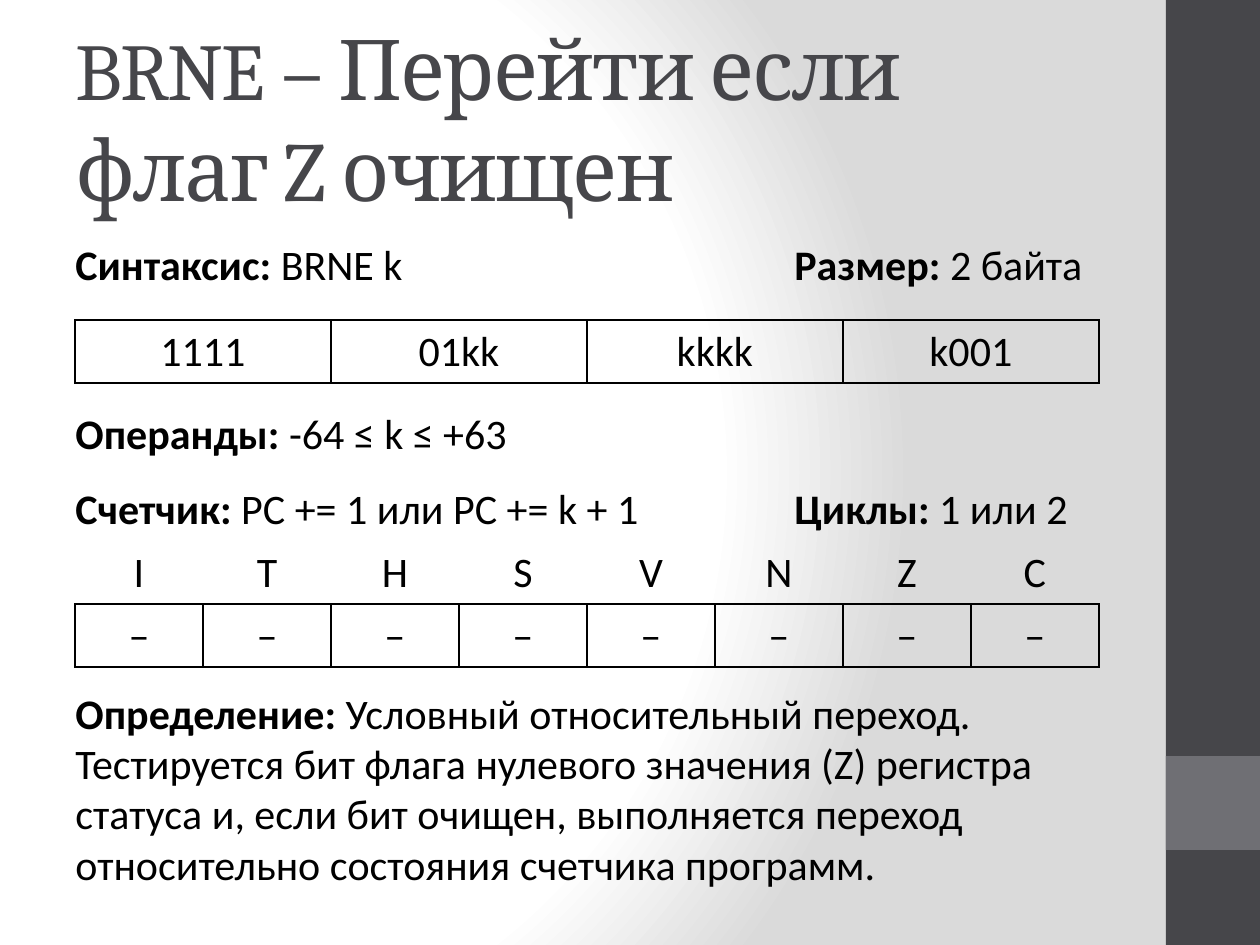
from lxml import etree
from pptx import Presentation
from pptx.dml.color import RGBColor
from pptx.enum.shapes import MSO_SHAPE
from pptx.enum.text import MSO_ANCHOR, MSO_AUTO_SIZE, PP_ALIGN
from pptx.oxml import parse_xml
from pptx.oxml.ns import nsdecls, qn
from pptx.util import Emu, Pt

RECTANGLE = MSO_SHAPE.RECTANGLE
MIDDLE, TOP = MSO_ANCHOR.MIDDLE, MSO_ANCHOR.TOP
CENTER = PP_ALIGN.CENTER
GROW, FIXED = MSO_AUTO_SIZE.SHAPE_TO_FIT_TEXT, MSO_AUTO_SIZE.NONE

BLACK = RGBColor(0x00, 0x00, 0x00)
DARK = RGBColor(0x46, 0x46, 0x4A)
GRAY = RGBColor(0x6F, 0x6F, 0x74)
WHITE = RGBColor(0xFF, 0xFF, 0xFF)
SHADE = RGBColor(0xDA, 0xDA, 0xDA)

BODY_FONT, TITLE_FONT = "Calibri", "Cambria"
BODY_SIZE = 24
PLAIN_TABLE = "{2D5ABB26-0587-4C30-8999-92F81FD0307C}"
EMU_PER_PX = 914400 / 126
LEFT, RIGHT_COLUMN = 63, 782
TABLE_LEFT, TABLE_WIDTH, ROW_HEIGHT = 75, 1024, 63


def px(length):
    return Emu(round(length * EMU_PER_PX))


def box(left, top, width, height):
    return px(left), px(top), px(width), px(height)


def paint_background(slide):
    slide.background.fill.solid()
    properties = slide.element.find(".//" + qn("p:bgPr"))
    stops = "".join(
        f'<a:gs pos="{position}"><a:srgbClr val="{color}"/></a:gs>'
        for position, color in ((0, WHITE), (75000, WHITE), (100000, SHADE))
    )
    gradient = parse_xml(
        f'<a:gradFill {nsdecls("a")} rotWithShape="1"><a:gsLst>{stops}</a:gsLst>'
        '<a:path path="circle"><a:fillToRect l="20000" t="50000" r="100000" b="50000"/>'
        "</a:path></a:gradFill>"
    )
    properties.replace(properties[0], gradient)


def add_band(slide, top, height, color):
    band = slide.shapes.add_shape(RECTANGLE, *box(1166, top, 94, height))
    band.shadow.inherit = False
    band.fill.solid()
    band.fill.fore_color.rgb = color
    band.line.fill.background()


def add_run(paragraph, text, size=BODY_SIZE, font=BODY_FONT, color=BLACK, bold=False):
    run = paragraph.add_run()
    run.text = text
    run.font.size = Pt(size)
    run.font.name = font
    run.font.bold = bold
    run.font.color.rgb = color
    return run


def add_frame(slide, area, wrap=True, anchor=TOP, fit=GROW):
    frame = slide.shapes.add_textbox(*box(*area)).text_frame
    frame.word_wrap = wrap
    frame.auto_size = fit
    frame.vertical_anchor = anchor
    return frame.paragraphs[0]


def add_title(slide, parts):
    heading = add_frame(slide, (LEFT, 38, 1050, 158), anchor=MIDDLE, fit=FIXED)
    for text, size in parts:
        run = add_run(heading, text, size, TITLE_FONT, DARK)
        run.font._element.set("spc", "-100")


def add_field(slide, area, label, value, wrap=False):
    line = add_frame(slide, area, wrap)
    add_run(line, label + " ", bold=True)
    add_run(line, value)


def set_borders(cell, sides):
    properties = cell._tc.get_or_add_tcPr()
    for position, side in enumerate(sides):
        border = etree.Element(qn(f"a:ln{side}"), w=str(Pt(1)))
        fill = etree.SubElement(border, qn("a:solidFill"))
        etree.SubElement(fill, qn("a:srgbClr"), val=str(BLACK))
        properties.insert(position, border)


def add_bit_table(slide, top, rows, row_borders):
    columns = len(rows[0])
    area = box(TABLE_LEFT, top, TABLE_WIDTH, ROW_HEIGHT * len(rows))
    table = slide.shapes.add_table(len(rows), columns, *area).table
    table.first_row = table.horz_banding = False
    table._tbl.tblPr.find(qn("a:tableStyleId")).text = PLAIN_TABLE
    for column in table.columns:
        column.width = px(TABLE_WIDTH // columns)
    for row_index, (texts, sides) in enumerate(zip(rows, row_borders)):
        for column_index, text in enumerate(texts):
            cell = table.cell(row_index, column_index)
            cell.fill.background()
            set_borders(cell, sides)
            paragraph = cell.text_frame.paragraphs[0]
            paragraph.alignment = CENTER
            add_run(paragraph, text)


def main():
    presentation = Presentation()
    presentation.slide_width, presentation.slide_height = px(1260), px(945)
    slide = presentation.slides.add_slide(presentation.slide_layouts[6])

    paint_background(slide)
    add_band(slide, 0, 945, DARK)
    add_band(slide, 756, 94, GRAY)
    add_title(slide, [("BRNE ", 46), ("– Перейти если флаг Z очищен", 48)])

    add_field(slide, (LEFT, 232, 357, 63), "Синтаксис:", "BRNE k")
    add_field(slide, (RIGHT_COLUMN, 232, 316, 63), "Размер:", "2 байта")
    add_bit_table(slide, 320, [["1111", "01kk", "kkkk", "k001"]], ["LRTB"])
    add_field(slide, (LEFT, 401, 1050, 63), "Операнды:", "-64 ≤ k ≤ +63", wrap=True)
    add_field(slide, (LEFT, 476, 595, 63), "Счетчик:", "PC += 1 или PC += k + 1")
    add_field(slide, (RIGHT_COLUMN, 476, 301, 63), "Циклы:", "1 или 2")

    flags = list("ITHSVNZC")
    add_bit_table(slide, 541, [flags, ["–"] * len(flags)], ["B", "LRTB"])
    add_field(
        slide, (LEFT, 681, 1050, 217), "Определение:",
        "Условный относительный переход. Тестируется бит флага нулевого "
        "значения (Z) регистра статуса и, если бит очищен, выполняется переход "
        "относительно состояния счетчика программ.",
        wrap=True,
    )
    presentation.save("out.pptx")


if __name__ == "__main__":
    main()
